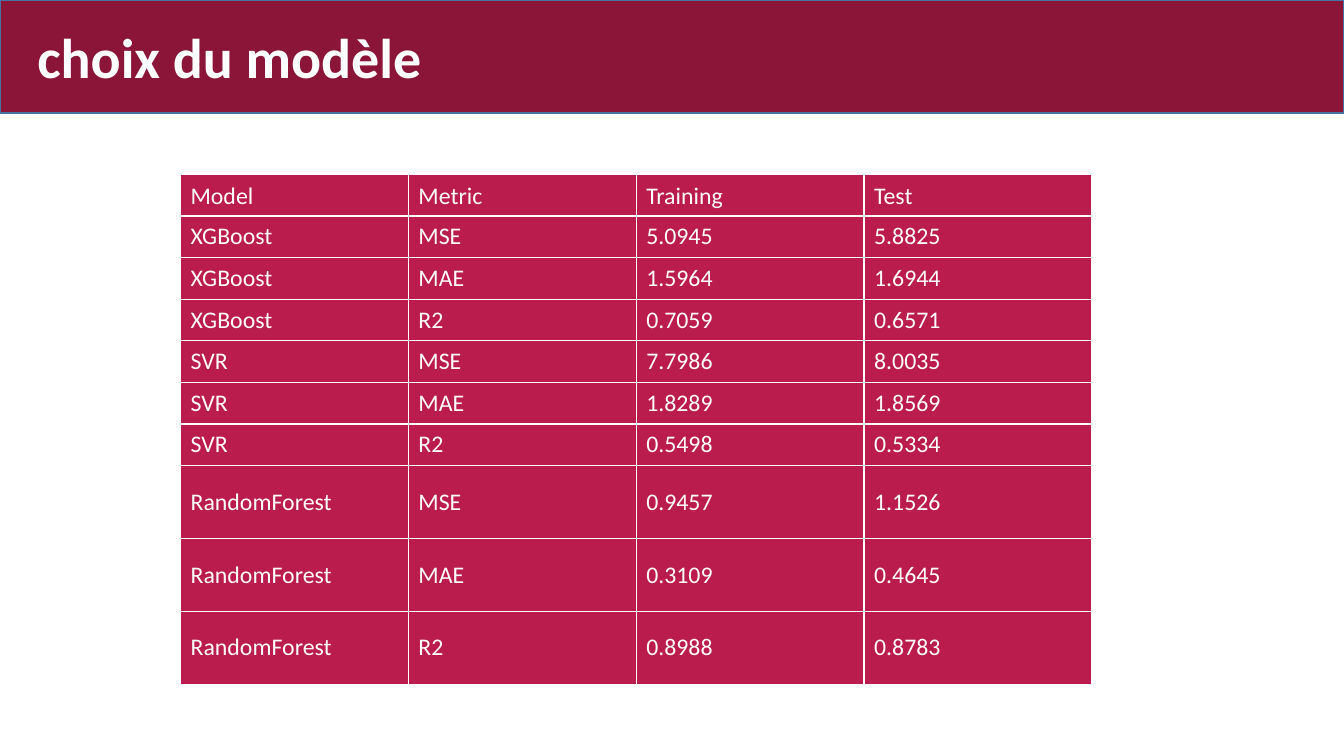
from dataclasses import dataclass

from lxml import etree
from pptx import Presentation
from pptx import util as u
from pptx.dml.color import RGBColor
from pptx.enum import shapes, text
from pptx.oxml import ns

WINE = RGBColor(0x8A, 0x15, 0x38)
ROSE = RGBColor(0xBA, 0x1C, 0x4D)
BLUE = RGBColor(0x43, 0x73, 0x9E)
WHITE = RGBColor(0xFF, 0xFF, 0xFF)

HEAD = ("Model", "Metric", "Training", "Test")
COL = u.Inches(2.26)
SMALL = u.Inches(2.89 / 7)
TALL = u.Inches(2.17 / 3)


@dataclass
class Score:
    model: str
    metric: str
    train: str
    test: str
    high: int = SMALL

    def texts(self) -> tuple:
        return self.model, self.metric, self.train, self.test


SCORES = [
    Score("XGBoost", "MSE", "5.0945", "5.8825"),
    Score("XGBoost", "MAE", "1.5964", "1.6944"),
    Score("XGBoost", "R2", "0.7059", "0.6571"),
    Score("SVR", "MSE", "7.7986", "8.0035"),
    Score("SVR", "MAE", "1.8289", "1.8569"),
    Score("SVR", "R2", "0.5498", "0.5334"),
    Score("RandomForest", "MSE", "0.9457", "1.1526", TALL),
    Score("RandomForest", "MAE", "0.3109", "0.4645", TALL),
    Score("RandomForest", "R2", "0.8988", "0.8783", TALL),
]


def apply(item, form: dict) -> None:
    for name, value in form.items():
        setattr(item, name, value)


def style(para, size: float, bold: bool) -> None:
    para.alignment = text.PP_ALIGN.LEFT
    apply(para.font, {"name": "Calibri", "size": u.Pt(size), "bold": bold})
    para.font.color.rgb = WHITE


def edge(cell) -> None:
    props = cell._tc.get_or_add_tcPr()
    for side in ("lnL", "lnR", "lnT", "lnB"):
        line = etree.SubElement(props, ns.qn(f"a:{side}"), w=str(u.Pt(1)))
        fill = etree.SubElement(line, ns.qn("a:solidFill"))
        etree.SubElement(fill, ns.qn("a:srgbClr"), val=str(WHITE))


def draw_cell(cell, word: str, anchor: text.MSO_ANCHOR) -> None:
    cell.text = word
    edge(cell)
    cell.fill.solid()
    cell.fill.fore_color.rgb = ROSE
    apply(cell, {
        "vertical_anchor": anchor,
        "margin_left": u.Inches(0.1), "margin_right": u.Inches(0.1),
        "margin_top": u.Inches(0.05), "margin_bottom": u.Inches(0.05),
    })
    style(cell.text_frame.paragraphs[0], 17, False)


def draw_title(slide, width: int) -> None:
    title = slide.shapes.title
    apply(title, {
        "left": u.Inches(0.27), "top": u.Inches(0.17),
        "width": u.Inches(5.46), "height": u.Inches(0.77),
        "text": "choix du modèle",
    })
    apply(title.text_frame, {
        "word_wrap": True,
        "vertical_anchor": text.MSO_ANCHOR.TOP,
        "auto_size": text.MSO_AUTO_SIZE.SHAPE_TO_FIT_TEXT,
    })
    style(title.text_frame.paragraphs[0], 40, True)

    band = slide.shapes.add_shape(
        shapes.MSO_SHAPE.RECTANGLE, 0, 0, width, u.Inches(1.12))
    band.shadow.inherit = False
    band.fill.solid()
    band.fill.fore_color.rgb = WINE
    band.line.color.rgb = BLUE
    band.line.width = u.Pt(1)
    title.element.addprevious(band.element)


def draw_table(slide) -> None:
    rows = [(HEAD, SMALL, text.MSO_ANCHOR.BOTTOM)]
    rows += [(s.texts(), s.high, text.MSO_ANCHOR.MIDDLE) for s in SCORES]
    table = slide.shapes.add_table(
        len(rows), len(HEAD), u.Inches(1.79), u.Inches(1.73),
        COL * len(HEAD), sum(high for _, high, _ in rows)).table
    apply(table, {"first_row": False, "horz_banding": False})
    for col in table.columns:
        col.width = COL
    for row, (words, high, anchor) in zip(table.rows, rows):
        row.height = high
        for cell, word in zip(row.cells, words):
            draw_cell(cell, word, anchor)


def main() -> None:
    deck = Presentation()
    apply(deck, {"slide_width": u.Inches(13.33), "slide_height": u.Inches(7.5)})
    slide = deck.slides.add_slide(deck.slide_layouts.get_by_name("Title Only"))
    draw_title(slide, deck.slide_width)
    draw_table(slide)
    deck.save("out.pptx")


if __name__ == "__main__":
    main()
